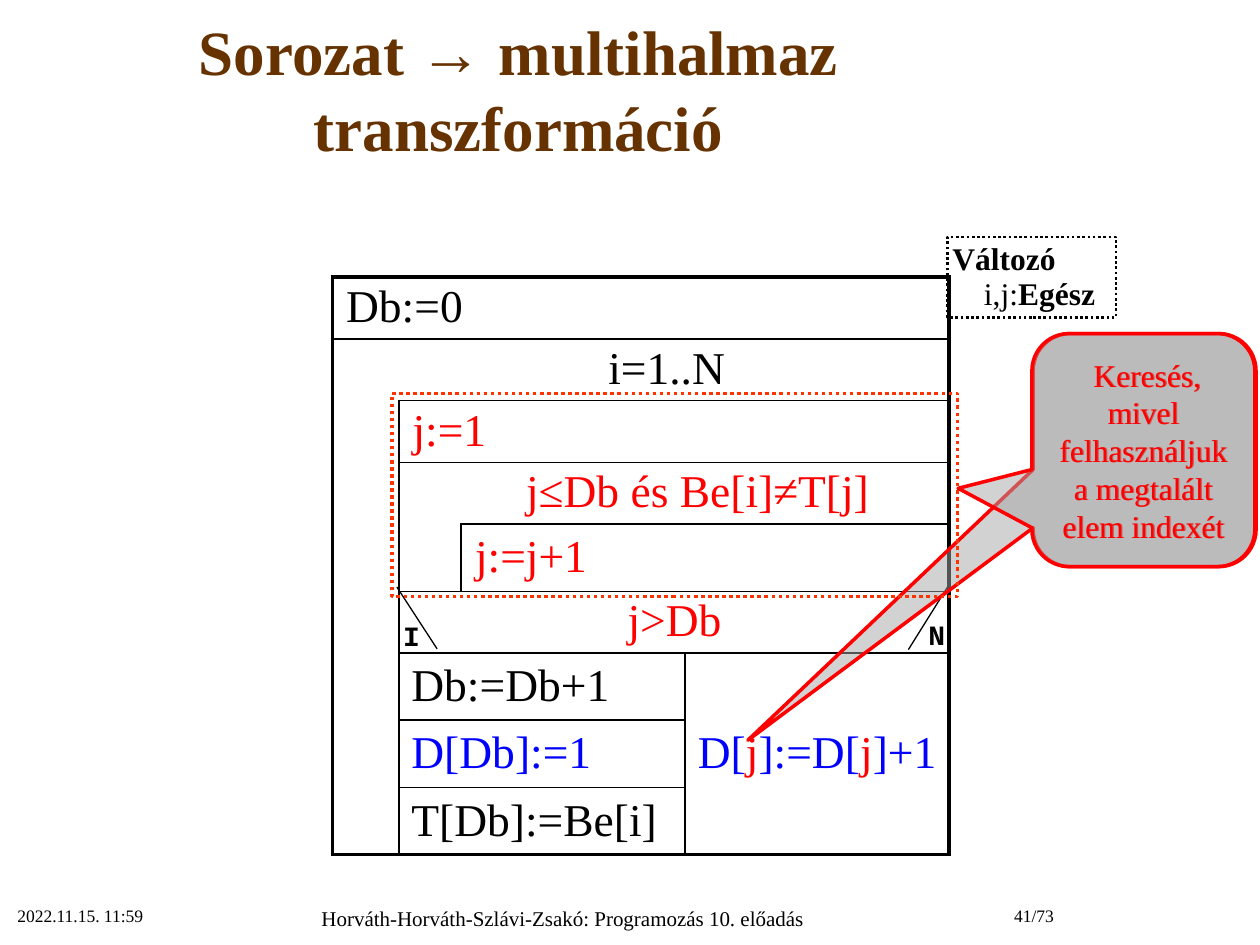
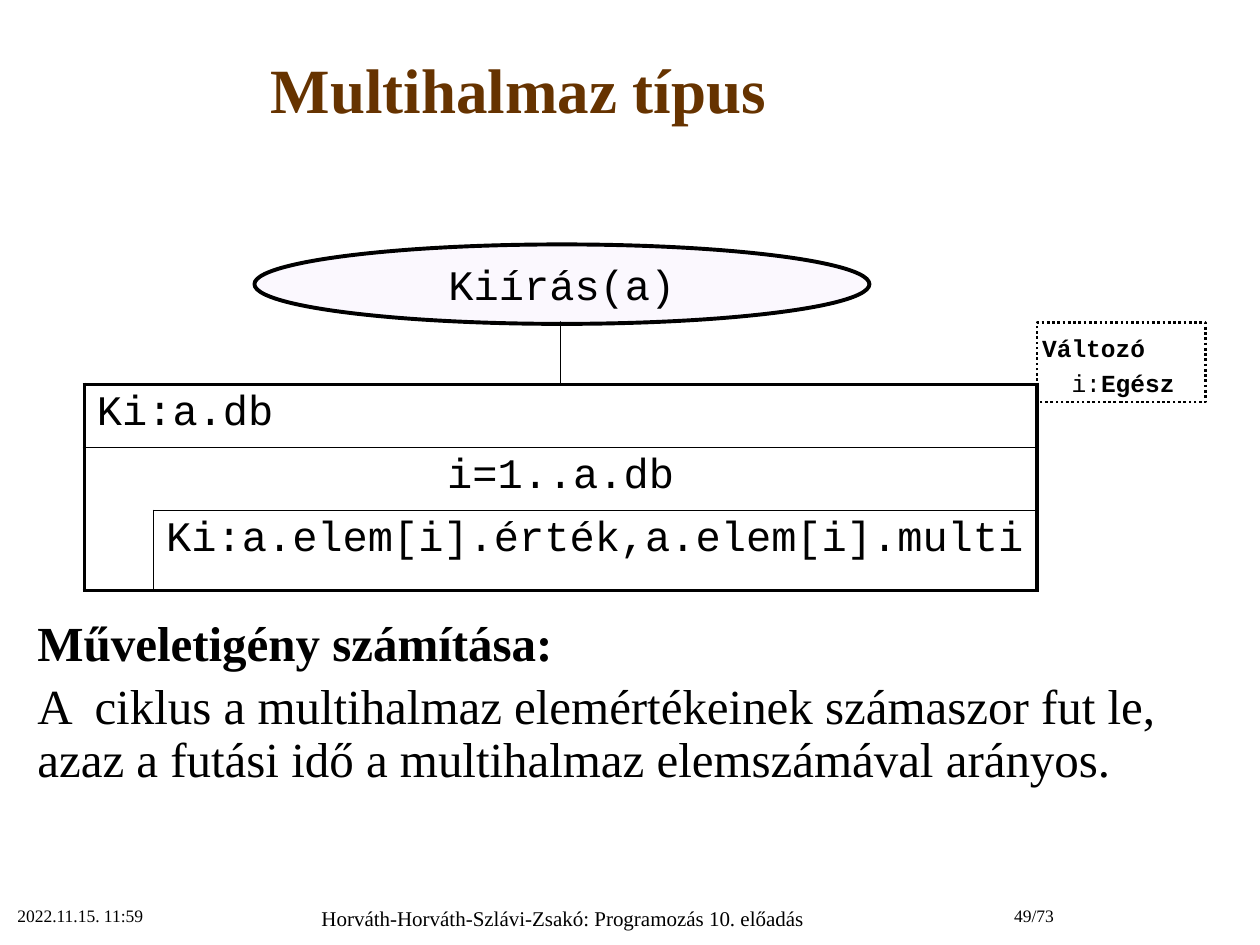
from lxml import etree
from pptx import Presentation
from pptx.dml.color import RGBColor
from pptx.enum import dml, shapes, text
from pptx.oxml import ns
from pptx.util import Pt

COLORS = {"title": "663300", "ink": "000000", "red": "FF0000", "blue": "0000FF",
          "frame": "FF3300", "gray": "A6A6A6", "lilac": "F3E8FE"}
SERIF, MONO = "Times New Roman", "Courier New"
LEFT, CENTER, RIGHT = text.PP_ALIGN.LEFT, text.PP_ALIGN.CENTER, text.PP_ALIGN.RIGHT
TOP, MIDDLE = text.MSO_ANCHOR.TOP, text.MSO_ANCHOR.MIDDLE
NO_GRID = "{2D5ABB26-0587-4C30-8999-92F81FD0307C}"
THICK, THIN = 2.25, 1

TITLE_AREA = (0, 6.5, 592.6, 87.8)
DATE = "2022.11.15. 11:59"
FOOTER = "Horváth-Horváth-Szlávi-Zsakó: Programozás 10. előadás"

STEP = dict(size=26, font=SERIF, anchor=MIDDLE, line=28, indent=0.7)
RED_STEP = dict(STEP, color="red")
ACTION = dict(size=26, font=SERIF, anchor=MIDDLE, line=28.6)
TRANSFORM = {
    "area": (189.9, 158.4),
    "columns": [38, 35.7, 128, 150.8],
    "rows": [35.28] * 6 + [35.8] * 3,
    "frame_top": 0,
    "cells": [
        (0, 0, 1, 4, "", "Db:=0", STEP),
        (1, 0, 1, 4, "B", "i=1..N", dict(STEP, indent=150.5)),
        (2, 0, 4, 1, "TB", "", STEP),
        (2, 1, 1, 3, "", "j:=1", RED_STEP),
        (3, 1, 1, 3, "B", "j≤Db és Be[i]≠T[j]", dict(RED_STEP, indent=65.5)),
        (4, 1, 1, 1, "T", "", STEP),
        (4, 2, 1, 2, "", "j:=j+1", RED_STEP),
        (5, 1, 1, 3, "", "j>Db", dict(RED_STEP, align=CENTER)),
        (6, 0, 1, 1, "TB", "", STEP),
        (6, 1, 1, 2, "", "Db:=Db+1", ACTION),
        (6, 3, 3, 1, "", [["D[", ("j", {"color": "red"}), "]:=D[",
                           ("j", {"color": "red"}), "]+1"]], dict(ACTION, color="blue")),
        (7, 0, 1, 1, "TB", "", STEP),
        (7, 1, 1, 2, "", "D[Db]:=1", dict(ACTION, color="blue")),
        (8, 0, 1, 1, "T", "", STEP),
        (8, 1, 1, 2, "", "T[Db]:=Be[i]", ACTION),
    ],
}
BRANCH_LINES = [(226.8, 335.5, 249.8, 370.8), (541.4, 335.5, 519.1, 371.2)]
BRANCH_LABELS = [("I", 223.2, 350), ("N", 523.4, 349.3)]
CALLOUT_TEXT = " Keresés, mivel felhasználjuk a megtalált elem indexét"
CALLOUTS = [(590.4, (-1.78, 1.245, 0.167)), (589.7, (-0.831, 0.164, 0.167))]

CODE = dict(size=24, font=MONO)
PRINTING = {
    "area": (48.2, 183.6),
    "columns": [39.6, 232.5, 272.2],
    "rows": [36, 36, 36, 45.7],
    "frame_top": 1,
    "cells": [
        (0, 0, 1, 2, "LT", "", CODE),
        (0, 2, 1, 1, "TR", "", CODE),
        (1, 0, 1, 3, "", "Ki:a.db", CODE),
        (2, 0, 1, 3, "B", "i=1..a.db", dict(CODE, align=CENTER)),
        (3, 0, 1, 1, "T", "", CODE),
        (3, 1, 1, 2, "", "Ki:a.elem[i].érték,a.elem[i].multi", CODE),
    ],
}
COST = [[("Műveletigény számítása:", {"bold": True})],
        "A  ciklus a multihalmaz elemértékeinek számaszor fut le, "
        "azaz a futási idő a multihalmaz elemszámával arányos."]


def rgb(name):
    return RGBColor.from_string(COLORS[name])


def add_xml(parent, tag, **attributes):
    return etree.SubElement(parent, ns.qn(tag), attributes)


def write(frame, content, size=18, font=SERIF, color="ink", bold=False, align=LEFT,
          anchor=None, line=None, indent=0, later_indent=None, wrap=True, insets=None,
          bullets=True):
    frame.word_wrap = wrap
    if anchor is not None:
        frame.vertical_anchor = anchor
    if insets:
        (frame.margin_left, frame.margin_top,
         frame.margin_right, frame.margin_bottom) = map(Pt, insets)
    paragraphs = [content] if isinstance(content, str) else content
    for number, spans in enumerate(paragraphs):
        para = frame.add_paragraph() if number else frame.paragraphs[0]
        props = para._p.get_or_add_pPr()
        if not bullets:
            props.set("marL", "0")
            props.set("indent", "0")
            add_xml(props, "a:buNone")
        margin = later_indent if number and later_indent else indent
        if margin:
            props.set("marL", str(Pt(margin)))
        para.alignment = align
        para.space_before = Pt(0)
        if line:
            para.line_spacing = Pt(line)
        para.font.name, para.font.size = font, Pt(size)
        for item in [spans] if isinstance(spans, str) else spans:
            words, changes = (item, {}) if isinstance(item, str) else item
            if not words:
                continue
            span = para.add_run()
            span.text = words
            span.font.name, span.font.size = font, Pt(size)
            span.font.bold = changes.get("bold", bold)
            span.font.color.rgb = rgb(changes.get("color", color))


def place(shape, area):
    shape.left, shape.top, shape.width, shape.height = map(Pt, area)


def add_text(page, area, content, **style):
    box = page.shapes.add_textbox(*map(Pt, area))
    write(box.text_frame, content, **style)


def add_outline(page, kind, area, color="ink", width=1.5, fill=None, alpha=100, dotted=False):
    shape = page.shapes.add_shape(kind, *map(Pt, area))
    shape.shadow.inherit = False
    shape.line.color.rgb = rgb(color)
    shape.line.width = Pt(width)
    if dotted:
        shape.line.dash_style = dml.MSO_LINE.ROUND_DOT
    if fill:
        shape.fill.solid()
        shape.fill.fore_color.rgb = rgb(fill)
        tint = shape.fill._xPr.find(".//" + ns.qn("a:srgbClr"))
        add_xml(tint, "a:alpha", val=str(alpha * 1000))
    else:
        shape.fill.background()
    return shape


def add_line(page, ends):
    line = page.shapes.add_connector(shapes.MSO_CONNECTOR.STRAIGHT, *map(Pt, ends))
    line.line.color.rgb = rgb("ink")
    line.line.width = Pt(0.75)
    add_xml(line._element.spPr, "a:effectLst")


def add_variables(page, area, content, **style):
    box = add_outline(page, shapes.MSO_SHAPE.RECTANGLE, area, dotted=True)
    write(box.text_frame, content, line=20, anchor=TOP, bold=True,
          insets=(2.9, 2.9, 0, 2.9), **style)


def draw_borders(cell, widths):
    props = cell._tc.get_or_add_tcPr()
    for side, width in widths.items():
        border = add_xml(props, "a:ln" + side, w=str(Pt(width)))
        if width:
            add_xml(add_xml(border, "a:solidFill"), "a:srgbClr", val=COLORS["ink"])
        else:
            add_xml(border, "a:noFill")
    cell.fill.background()


def add_structogram(page, diagram):
    columns, rows = diagram["columns"], diagram["rows"]
    frame_top = diagram["frame_top"]
    frame = page.shapes.add_table(len(rows), len(columns), *map(Pt, diagram["area"]),
                                  Pt(sum(columns)), Pt(sum(rows)))
    table = frame.table
    table.first_row = table.horz_banding = False
    table._tbl.tblPr.find(ns.qn("a:tableStyleId")).text = NO_GRID
    for column, width in zip(table.columns, columns):
        column.width = Pt(width)
    for row, height in zip(table.rows, rows):
        row.height = Pt(height)
    for top, left, tall, wide, open_sides, content, style in diagram["cells"]:
        bottom, right = top + tall - 1, left + wide - 1
        outer = {"L": left == 0, "R": right == len(columns) - 1,
                 "T": top == frame_top, "B": bottom in (frame_top - 1, len(rows) - 1)}
        widths = {side: 0 if side in open_sides else THICK if edge else THIN
                  for side, edge in outer.items()}
        origin = table.cell(top, left)
        if tall * wide > 1:
            origin.merge(table.cell(bottom, right))
        for row in range(top, bottom + 1):
            for column in range(left, right + 1):
                first = (row, column) == (top, left)
                touches = {"L": column == left, "R": column == right,
                           "T": row == top, "B": row == bottom}
                draw_borders(table.cell(row, column),
                             {side: width for side, width in widths.items()
                              if first or touches[side]})
        write_cell(origin, content, **style)


def write_cell(cell, content, anchor=TOP, **style):
    cell.vertical_anchor = anchor
    write(cell.text_frame, content, **style)


def start_page(deck, layout, title, number):
    page = deck.slides.add_slide(deck.slide_layouts[layout])
    place(page.shapes.title, TITLE_AREA)
    write(page.shapes.title.text_frame, title, size=36, color="title", bold=True,
          align=CENTER, anchor=MIDDLE)
    add_text(page, (2.9, 513.6, 149.8, 28), DATE, size=10)
    add_text(page, (152.8, 513.8, 337.7, 26), FOOTER, size=12, align=CENTER)
    add_text(page, (517.9, 513.6, 91.4, 28), number, size=10, align=RIGHT)
    return page


def build_transform(deck):
    page = start_page(deck, 5, "Sorozat → multihalmaz transzformáció", "41/73")
    add_structogram(page, TRANSFORM)
    for ends in BRANCH_LINES:
        add_line(page, ends)
    for label, left, top in BRANCH_LABELS:
        add_text(page, (left, top, 23, 26), label, size=16, font=MONO, bold=True)
    add_variables(page, (541.4, 135.4, 96.3, 46.1),
                  ["Változó", [("i,j:", {"bold": False}), "Egész"]], later_indent=18)
    for left, adjustments in CALLOUTS:
        callout = add_outline(page, shapes.MSO_SHAPE.ROUNDED_RECTANGULAR_CALLOUT,
                              (left, 190.6, 127.4, 133.2), "red", 2, "gray", 50)
        for index, value in enumerate(adjustments):
            callout.adjustments[index] = value
        write(callout.text_frame, CALLOUT_TEXT, color="red", align=CENTER, anchor=MIDDLE)
    add_outline(page, shapes.MSO_SHAPE.RECTANGLE, (223.9, 224.8, 323.3, 116),
                "frame", 2, dotted=True)


def build_printing(deck):
    page = start_page(deck, 1, "Multihalmaz típus", "49/73")
    body = page.placeholders[1]
    place(body, (14.2, 346.5, 705.6, 114))
    write(body.text_frame, COST, size=28, bullets=False)
    detail = body.text_frame.paragraphs[1]
    detail.space_before, detail.line_spacing = Pt(6), Pt(30)
    add_structogram(page, PRINTING)
    oval = add_outline(page, shapes.MSO_SHAPE.OVAL, (145.4, 139.7, 351.4, 45.4),
                       width=THICK, fill="lilac", alpha=30)
    write(oval.text_frame, "Kiírás(a)", size=24, font=MONO, align=CENTER,
          anchor=MIDDLE, wrap=False)
    add_variables(page, (592.6, 184.3, 96.3, 45.4),
                  ["Változó", [("i:", {"bold": False}), "Egész"]],
                  size=14, font=MONO, later_indent=16.8)


def main():
    deck = Presentation()
    deck.slide_width, deck.slide_height = Pt(720), Pt(540)
    build_transform(deck)
    build_printing(deck)
    deck.save("out.pptx")


if __name__ == "__main__":
    main()
